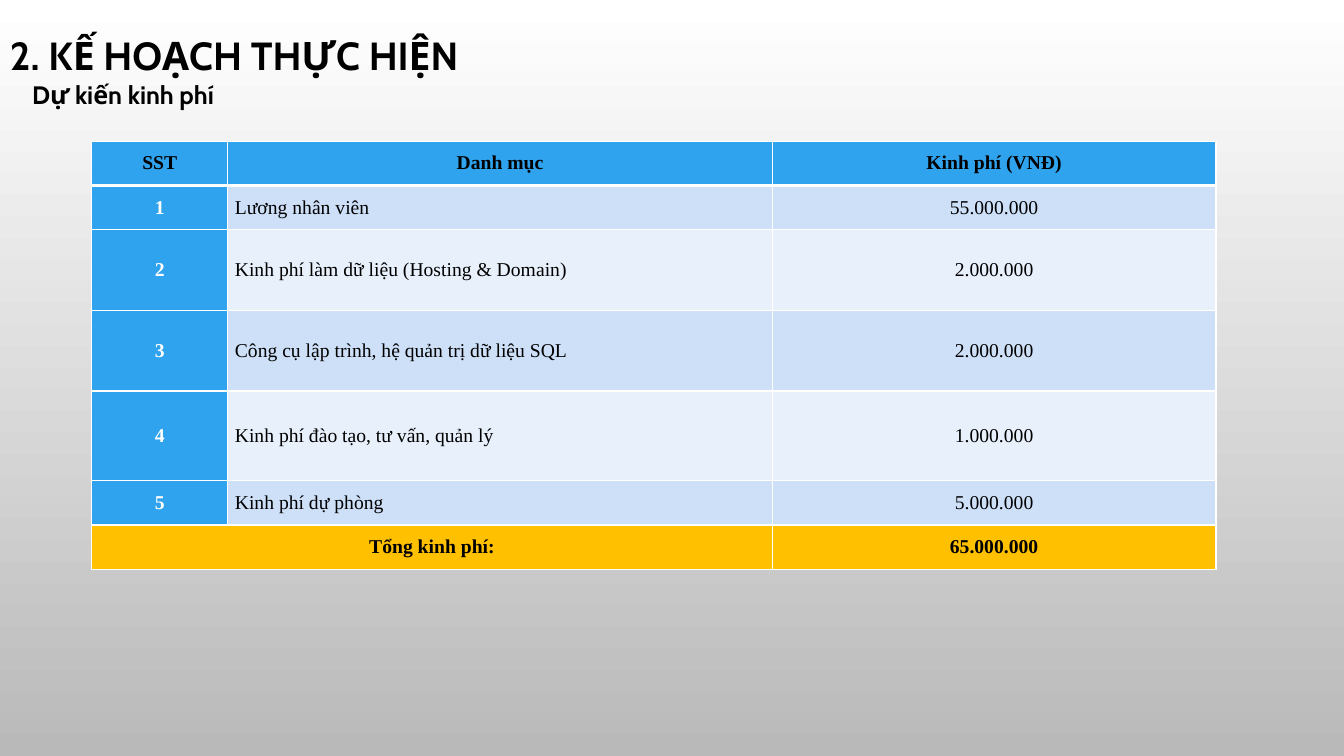
from lxml import etree
from pptx import Presentation
from pptx.dml.color import RGBColor
from pptx.enum.text import MSO_ANCHOR, PP_ALIGN
from pptx.oxml.ns import qn
from pptx.util import Inches, Pt

MIDDLE, TOP = MSO_ANCHOR.MIDDLE, MSO_ANCHOR.TOP
LEFT, CENTER = PP_ALIGN.LEFT, PP_ALIGN.CENTER

HEADINGS = [
    ("2. KẾ HOẠCH THỰC HIỆN", (0, 0, 10.5, 1.15), 28, MIDDLE, 0.9),
    ("Dự kiến kinh phí", (0.22, 0.74, 11.16, 0.4), 18, TOP, 1.0),
]
BUDGET = [
    ("SST", "Danh mục", "Kinh phí (VNĐ)"),
    ("1", "Lương nhân viên", "55.000.000"),
    ("2", "Kinh phí làm dữ liệu (Hosting & Domain)", "2.000.000"),
    ("3", "Công cụ lập trình, hệ quản trị dữ liệu SQL", "2.000.000"),
    ("4", "Kinh phí đào tạo, tư vấn, quản lý", "1.000.000"),
    ("5", "Kinh phí dự phòng", "5.000.000"),
    ("Tổng kinh phí:", "", "65.000.000"),
]
COL_WIDTHS = [1.35, 5.4, 4.4]
ROW_HEIGHTS = [0.44, 0.44, 0.8, 0.8, 0.89, 0.44, 0.44]
TABLE_LEFT, TABLE_TOP = 0.91, 1.4
COLORS = {
    "black": "000000",
    "white": "FFFFFF",
    "gray": "B9B9B9",
    "header": "2FA3EE",
    "odd": "CDE0F8",
    "even": "E8F0FC",
    "total": "FFC000",
}


def rgb(name):
    return RGBColor.from_string(COLORS[name])


def set_font(p, name, size, color, bold):
    p.font.name = name
    p.font.size = Pt(size)
    p.font.bold = bold
    p.font.color.rgb = rgb(color)


def add_heading(slide, text, box, size, anchor, spacing):
    tf = slide.shapes.add_textbox(*map(Inches, box)).text_frame
    tf.word_wrap = True
    tf.vertical_anchor = anchor
    p = tf.paragraphs[0]
    p.text = text
    p.line_spacing = spacing
    set_font(p, "Cabin", size, "black", True)


def set_borders(cell, top, bottom):
    tc_pr = cell._tc.get_or_add_tcPr()
    sides = [("a:lnL", 1), ("a:lnR", 1), ("a:lnT", top), ("a:lnB", bottom)]
    for i, (tag, width) in enumerate(sides):
        ln = etree.Element(qn(tag), w=str(Pt(width)))
        fill = etree.SubElement(ln, qn("a:solidFill"))
        etree.SubElement(fill, qn("a:srgbClr"), val=COLORS["white"])
        tc_pr.insert(i, ln)


def fill_cell(cell, text, row, col):
    header, total = row == 0, row == len(BUDGET) - 1
    number = col == 0 and not header and not total
    if total:
        fill = "total"
    elif header or number:
        fill = "header"
    else:
        fill = "odd" if row % 2 else "even"
    cell.fill.solid()
    cell.fill.fore_color.rgb = rgb(fill)
    cell.vertical_anchor = MIDDLE
    cell.margin_left = cell.margin_right = Inches(0.07)
    cell.margin_top = cell.margin_bottom = 0
    set_borders(cell, 3 if row == 1 else 1, 3 if header else 1)
    p = cell.text_frame.paragraphs[0]
    p.text = text
    p.alignment = LEFT if col == 1 and not header else CENTER
    set_font(p, "Times New Roman", 14, "white" if number else "black",
             header or total or number)


def add_budget(slide):
    table = slide.shapes.add_table(
        len(BUDGET), len(COL_WIDTHS), Inches(TABLE_LEFT), Inches(TABLE_TOP),
        Inches(sum(COL_WIDTHS)), Inches(sum(ROW_HEIGHTS))).table
    for column, width in zip(table.columns, COL_WIDTHS):
        column.width = Inches(width)
    for row, height in zip(table.rows, ROW_HEIGHTS):
        row.height = Inches(height)
    for r, values in enumerate(BUDGET):
        for c, text in enumerate(values):
            fill_cell(table.cell(r, c), text, r, c)
    last = len(BUDGET) - 1
    table.cell(last, 0).merge(table.cell(last, 1))


def main():
    prs = Presentation()
    prs.slide_width, prs.slide_height = Inches(13.33), Inches(7.5)
    slide = prs.slides.add_slide(prs.slide_layouts[6])
    bg = slide.background.fill
    bg.gradient()
    bg.gradient_angle = 270
    for stop, color in zip(bg.gradient_stops, ("white", "gray")):
        stop.color.rgb = rgb(color)
    for heading in HEADINGS:
        add_heading(slide, *heading)
    add_budget(slide)
    prs.save("out.pptx")


if __name__ == "__main__":
    main()
